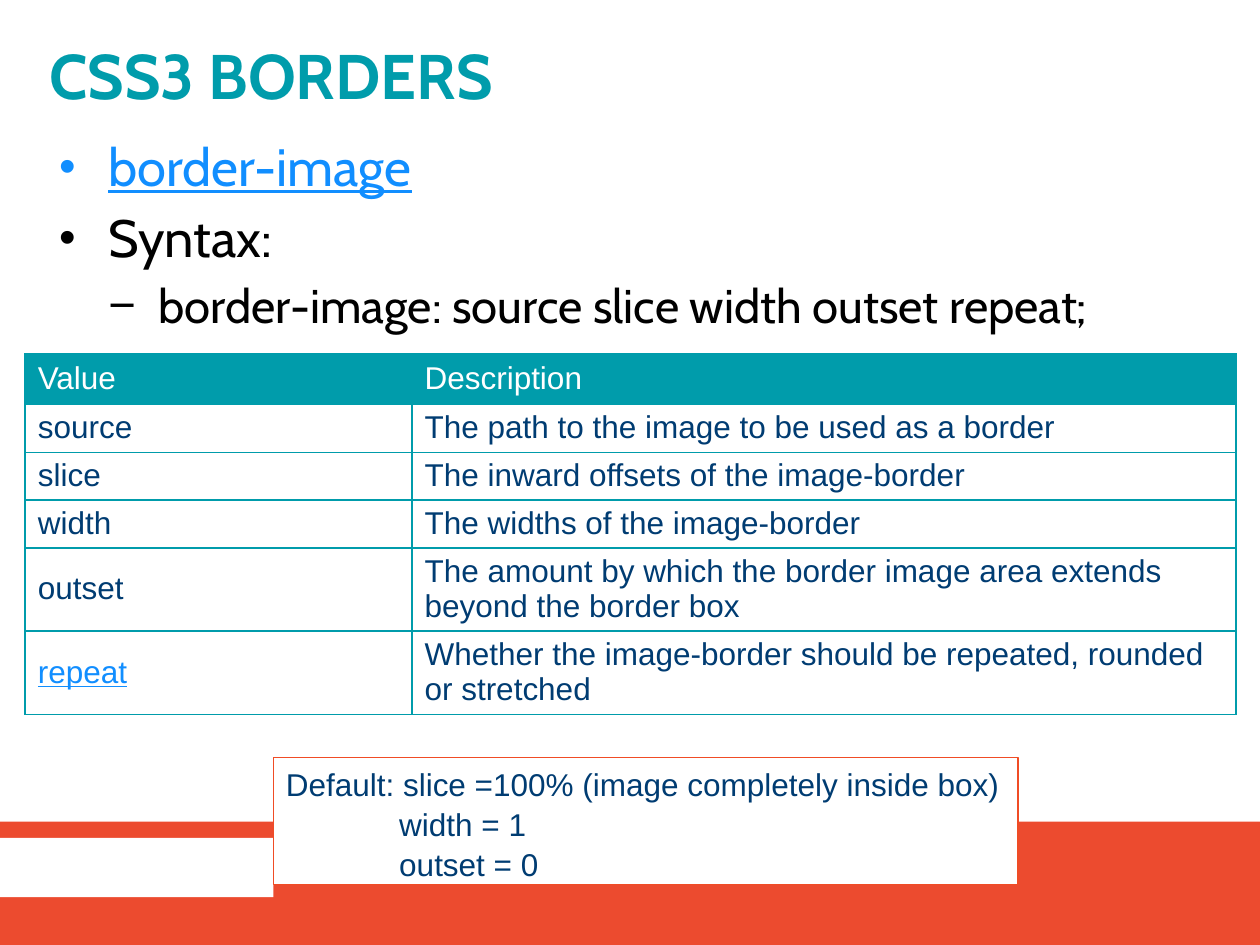
from dataclasses import dataclass

from lxml.etree import SubElement
from pptx import Presentation
from pptx.dml.color import RGBColor
from pptx.enum.shapes import MSO_SHAPE
from pptx.enum.text import MSO_ANCHOR, MSO_AUTO_SIZE, PP_ALIGN
from pptx.oxml.ns import qn
from pptx.util import Inches, Pt


@dataclass(frozen=True)
class Theme:
    teal: str = "009CAB"
    navy: str = "003C72"
    link: str = "118EFF"
    band: str = "EC4B2F"
    note_line: str = "F04C25"
    black: str = "000000"
    white: str = "FFFFFF"
    heading_font: str = "Cabin"
    text_font: str = "Arial"
    title_size: int = 36
    body_sizes: tuple = (30, 27)
    text_size: int = 18


class SlideBuilder:
    """Holds the theme and the current slide, and adds each kind of element."""

    def __init__(self, slide, theme):
        self.slide = slide
        self.theme = theme

    def style(self, paragraph, font, size, color, bold=False, underline=False):
        for run in paragraph.runs:
            run.font.name = font
            run.font.size = Pt(size)
            run.font.bold = bold
            run.font.underline = underline
            run.font.color.rgb = RGBColor.from_string(color)

    def place(self, shape, box, insets):
        shape.left, shape.top, shape.width, shape.height = map(Inches, box)
        frame = shape.text_frame
        frame.auto_size = MSO_AUTO_SIZE.NONE
        frame.word_wrap = True
        (frame.margin_left, frame.margin_top,
         frame.margin_right, frame.margin_bottom) = map(Inches, insets)
        return frame

    def title(self, text, box, insets):
        frame = self.place(self.slide.shapes.title, box, insets)
        frame.vertical_anchor = MSO_ANCHOR.MIDDLE
        frame.text = text
        heading = frame.paragraphs[0]
        heading.alignment = PP_ALIGN.LEFT
        heading.line_spacing = 0.8
        self.style(heading, self.theme.heading_font, self.theme.title_size,
                   self.theme.teal, bold=True)

    def bullets(self, items, box, insets):
        frame = self.place(self.slide.placeholders[1], box, insets)
        frame.vertical_anchor = MSO_ANCHOR.TOP
        frame.text = "\n".join(text for text, _, _ in items)
        for item, (_, level, linked) in zip(frame.paragraphs, items):
            item.level = level
            item.line_spacing = 0.9
            item.space_before = item.space_after = Pt(4)
            color = self.theme.link if linked else self.theme.black
            self.style(item, self.theme.heading_font,
                       self.theme.body_sizes[level], color, underline=linked)
            margin, hanging, mark, percent = (
                (0.39, 0.39, "•", 90), (0.79, 0.4, "−", 100))[level]
            properties = item._p.get_or_add_pPr()
            properties.set("marL", str(Inches(margin)))
            properties.set("indent", str(-Inches(hanging)))
            SubElement(properties, qn("a:buSzPct"), val=str(percent * 1000))
            SubElement(properties, qn("a:buChar"), char=mark)

    def rectangle(self, box, fill, line=None):
        shape = self.slide.shapes.add_shape(
            MSO_SHAPE.RECTANGLE, *map(Inches, box))
        shape.shadow.inherit = False
        shape.fill.solid()
        shape.fill.fore_color.rgb = RGBColor.from_string(fill)
        if line:
            shape.line.color.rgb = RGBColor.from_string(line)
            shape.line.width = Pt(0.75)
        else:
            shape.line.fill.background()
        return shape

    def note(self, lines, box):
        shape = self.rectangle(box, self.theme.white, self.theme.note_line)
        frame = shape.text_frame
        frame.word_wrap = True
        frame.vertical_anchor = MSO_ANCHOR.TOP
        frame.text = "\n".join(lines)
        for number, paragraph in enumerate(frame.paragraphs):
            paragraph.alignment = PP_ALIGN.LEFT
            paragraph.line_spacing = 1.05
            if number:
                paragraph._p.get_or_add_pPr().set("marL", str(Inches(0.9)))
            self.style(paragraph, self.theme.text_font, self.theme.text_size,
                       self.theme.navy)

    def borders(self, cell):
        properties = cell._tc.get_or_add_tcPr()
        for side in ("lnL", "lnR", "lnT", "lnB"):
            edge = SubElement(properties, qn(f"a:{side}"), w=str(Pt(1)))
            fill = SubElement(edge, qn("a:solidFill"))
            SubElement(fill, qn("a:srgbClr"), val=self.theme.teal)

    def table(self, rows, box, widths, heights, linked):
        table = self.slide.shapes.add_table(
            len(rows), len(widths), *map(Inches, box)).table
        table.horz_banding = False
        for column, width in zip(table.columns, widths):
            column.width = Inches(width)
        for row, height, texts in zip(table.rows, heights, rows):
            row.height = Inches(height)
            header = texts is rows[0]
            for cell, text in zip(row.cells, texts):
                self.borders(cell)
                if header:
                    cell.fill.solid()
                    cell.fill.fore_color.rgb = RGBColor.from_string(
                        self.theme.teal)
                else:
                    cell.fill.background()
                cell.vertical_anchor = MSO_ANCHOR.MIDDLE
                cell.text = text
                is_link = text in linked
                color = (self.theme.white if header else
                         self.theme.link if is_link else self.theme.navy)
                entry = cell.text_frame.paragraphs[0]
                entry.line_spacing = 0.97
                self.style(entry, self.theme.text_font, self.theme.text_size,
                           color, underline=is_link)


def main():
    presentation = Presentation()
    presentation.slide_width = Inches(10)
    presentation.slide_height = Inches(7.5)
    theme = Theme()
    slide = presentation.slides.add_slide(presentation.slide_layouts[1])
    builder = SlideBuilder(slide, theme)

    builder.rectangle((0, 6.52, 10, 0.98), theme.band)
    builder.rectangle((0, 6.65, 2.17, 0.47), theme.white)
    builder.bullets([
        ("border-image", 0, True),
        ("Syntax:", 0, False),
        ("border-image: source slice width outset repeat;", 1, False),
    ], (0, 0.84, 10, 4.84), (0.47, 0.28, 0.47, 0))
    builder.title("CSS3 BORDERS", (0, 0, 10, 1.25), (0.39, 0.2, 0.39, 0.16))
    builder.table([
        ("Value", "Description"),
        ("source", "The path to the image to be used as a border"),
        ("slice", "The inward offsets of the image-border"),
        ("width", "The widths of the image-border"),
        ("outset", "The amount by which the border image area extends "
                   "beyond the border box"),
        ("repeat", "Whether the image-border should be repeated, rounded "
                   "or stretched"),
    ], (0.2, 2.81, 9.61, 2.86), (3.07, 6.54),
        (0.4, 0.38, 0.38, 0.38, 0.66, 0.66), {"repeat"})
    builder.note([
        "Default: slice =100% (image completely inside box)",
        "width = 1",
        "outset = 0",
    ], (2.17, 6.01, 5.91, 1.01))
    presentation.save("out.pptx")


if __name__ == "__main__":
    main()
